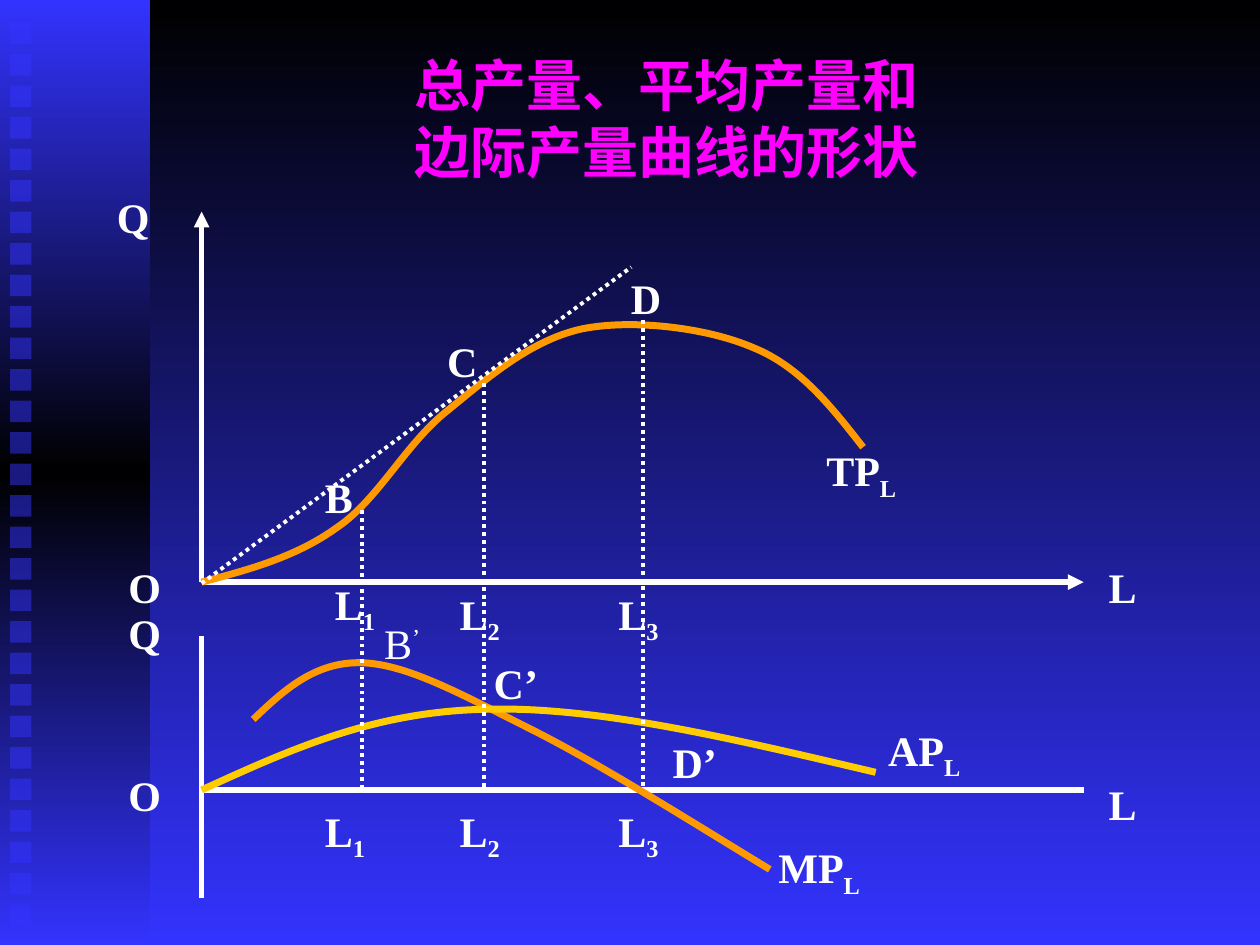
from copy import deepcopy
from dataclasses import dataclass

from lxml.etree import SubElement
from pptx import Presentation
from pptx.dml.color import RGBColor as RGB
from pptx.enum.dml import MSO_LINE_DASH_STYLE as Dash
from pptx.enum.shapes import MSO_CONNECTOR as Conn, MSO_SHAPE as Shape
from pptx.enum.text import MSO_ANCHOR as Anchor, MSO_AUTO_SIZE as AutoSize, PP_ALIGN as Align
from pptx.oxml.ns import qn
from pptx.util import Inches, Pt


@dataclass(frozen=True)
class Theme:
    font: str = "Times New Roman"
    text: RGB = RGB(0xFF, 0xFF, 0xFF)
    title: RGB = RGB(0xFF, 0x00, 0xFF)
    dark: RGB = RGB(0x00, 0x00, 0x00)
    blue: RGB = RGB(0x33, 0x33, 0xFF)
    orange: RGB = RGB(0xFF, 0x99, 0x00)
    yellow: RGB = RGB(0xFF, 0xCC, 0x00)
    title_size: int = 32
    label_size: int = 24
    axis_width: float = 3
    guide_width: float = 2.25
    curve_width: float = 4


class Builder:
    def __init__(self, slide, theme):
        self.s = slide
        self.theme = theme

    def gradient(self, fill, start, end):
        fill.gradient()
        fill.gradient_angle = 270
        for stop, color, pos in zip(fill.gradient_stops, (start, end), (0, 1)):
            stop.color.rgb = color
            stop.position = pos

    def rect(self, x, y, w, h):
        sp = self.s.shapes.add_shape(Shape.RECTANGLE, Inches(x), Inches(y), Inches(w), Inches(h))
        sp.shadow.inherit = False
        sp.line.fill.background()
        return sp

    def band(self, w, h):
        sp = self.rect(0, 0, w, h)
        self.gradient(sp.fill, self.theme.blue, self.theme.dark)
        stops = sp._element.spPr.find(".//" + qn("a:gsLst"))
        stops[1].set("pos", "50000")
        last = deepcopy(stops[0])
        last.set("pos", "100000")
        stops.append(last)

    def square(self, x, y, size):
        sp = self.rect(x, y, size, size)
        sp.fill.solid()
        sp.fill.fore_color.rgb = self.theme.blue
        color = sp._element.spPr.find(".//" + qn("a:srgbClr"))
        SubElement(color, qn("a:alpha")).set("val", "50000")

    def line(self, start, end, width, dotted=False, arrow=False):
        cx = self.s.shapes.add_connector(Conn.STRAIGHT, *map(Inches, (*start, *end)))
        cx.line.color.rgb = self.theme.text
        cx.line.width = Pt(width)
        if dotted:
            cx.line.dash_style = Dash.ROUND_DOT
        if arrow:
            SubElement(cx.line._get_or_add_ln(), qn("a:tailEnd")).set("type", "triangle")
        SubElement(cx._element.spPr, qn("a:effectLst"))

    def axis(self, start, end, arrow=False):
        self.line(start, end, self.theme.axis_width, arrow=arrow)

    def guide(self, start, end):
        self.line(start, end, self.theme.guide_width, dotted=True)

    def curve(self, color, knots):
        """Knots: a start, then two controls and an end for each segment."""
        fb = self.s.shapes.build_freeform(*map(Inches, knots[0]))
        fb.add_line_segments([(Inches(x), Inches(y)) for x, y in knots[1:]], close=False)
        sp = fb.convert_to_shape()
        # Turn each three straight steps into one cubic segment
        steps = sp._element.spPr.findall(".//" + qn("a:lnTo"))
        outline = steps[0].getparent()
        for i in range(0, len(steps), 3):
            cubic = SubElement(outline, qn("a:cubicBezTo"))
            for step in steps[i:i + 3]:
                cubic.append(step[0])
                outline.remove(step)
        sp.shadow.inherit = False
        sp.fill.background()
        sp.line.color.rgb = color
        sp.line.width = Pt(self.theme.curve_width)

    def label(self, x, y, w, text, shifted="", baseline=-25, bold=True):
        h = 0.56 if shifted and baseline < 0 else 0.5
        tf = self.s.shapes.add_textbox(Inches(x), Inches(y), Inches(w), Inches(h)).text_frame
        tf.word_wrap = True
        p = tf.paragraphs[0]
        p.text = text
        if shifted:
            r = p.add_run()
            r.text = shifted
            r.font._element.set("baseline", str(baseline * 1000))
        for r in p.runs:
            self.style(r, self.theme.label_size, self.theme.text, bold)

    def title(self, x, y, w, h, lines):
        sp = self.s.shapes.title
        sp.left, sp.top, sp.width, sp.height = map(Inches, (x, y, w, h))
        tf = sp.text_frame
        tf.word_wrap = True
        tf.auto_size = AutoSize.NONE
        tf.vertical_anchor = Anchor.MIDDLE
        p = tf.paragraphs[0]
        p.alignment = Align.CENTER
        for i, text in enumerate(lines):
            if i:
                p.add_line_break()
            r = p.add_run()
            r.text = text
            self.style(r, self.theme.title_size, self.theme.title)

    def style(self, r, size, color, bold=True):
        r.font.name = self.theme.font
        r.font.size = Pt(size)
        r.font.bold = bold
        r.font.color.rgb = color


def main():
    prs = Presentation()
    prs.slide_width, prs.slide_height = Inches(10), Inches(7.5)
    theme = Theme()
    b = Builder(prs.slides.add_slide(prs.slide_layouts[5]), theme)

    # Background, side band and its column of squares
    b.gradient(b.s.background.fill, theme.dark, theme.blue)
    b.band(1.19, 7.5)
    for i in range(29):
        b.square(0.08, 0.18 + 0.25 * i, 0.17)

    b.title(0.58, 0.33, 9.42, 1.21, ["总产量、平均产量和", "边际产量曲线的形状"])

    # Axes of the total product chart (top) and the AP/MP chart (bottom)
    left, right, top_base, low_base = 1.6, 8.6, 4.62, 6.27
    b.axis((left, top_base), (right, top_base), arrow=True)
    b.axis((left, top_base), (left, 1.68), arrow=True)
    b.axis((left, low_base), (right, low_base))
    b.axis((left, 5.05), (left, 7.13))

    # Total, marginal and average product curves
    b.curve(theme.orange, [
        (left, top_base), (1.98, 4.52), (2.35, 4.42), (2.67, 4.19),
        (3, 3.97), (3.22, 3.52), (3.55, 3.26), (3.87, 3), (4.21, 2.7), (4.62, 2.61),
        (5.02, 2.53), (5.61, 2.6), (5.98, 2.76), (6.35, 2.91), (6.6, 3.23), (6.85, 3.55)])
    b.curve(theme.orange, [
        (2.01, 5.71), (2.25, 5.48), (2.5, 5.25), (2.87, 5.26),
        (3.23, 5.27), (3.66, 5.51), (4.2, 5.78), (4.74, 6.05), (5.42, 6.48), (6.11, 6.9)])
    b.curve(theme.yellow, [
        (left, low_base), (2.28, 5.96), (2.95, 5.65), (3.84, 5.63),
        (4.73, 5.6), (5.84, 5.87), (6.95, 6.13)])

    # Tangent from the origin, and drop lines from B, C and D
    b.guide((left, 4.63), (5.01, 2.12))
    for x, y in ((2.87, 4.05), (3.84, 3.04), (5.1, 2.54)):
        b.guide((x, y), (x, low_base))

    # Axis names and origins
    for x, y, w, text in ((8.7, 6.13, 0.68, "L"), (8.7, 4.41, 0.87, "L"),
                          (0.83, 1.47, 0.78, "Q"), (0.92, 4.77, 0.58, "Q"),
                          (0.92, 4.41, 0.68, "O"), (0.92, 6.06, 0.68, "O")):
        b.label(x, y, w, text)

    # Curve names
    for x, y, w, text in ((6.46, 3.48, 1.07, "TP"), (6.95, 5.7, 1.56, "AP"),
                          (6.08, 6.63, 1.46, "MP")):
        b.label(x, y, w, text, "L")

    # Labour levels under both charts
    for x, y, w, number in ((2.48, 6.34, 0.87, "1"), (3.55, 6.34, 0.78, "2"),
                            (4.81, 6.34, 0.78, "3"), (2.56, 4.54, 0.87, "1"),
                            (3.55, 4.62, 0.78, "2"), (4.81, 4.62, 0.78, "3")):
        b.label(x, y, w, "L", number)

    # Points on the curves
    for x, y, w, text in ((2.48, 3.69, 0.68, "B"), (3.45, 2.61, 0.58, "C"),
                          (4.91, 2.11, 0.87, "D"), (5.24, 5.8, 0.87, "D’"),
                          (3.82, 5.17, 0.88, "C’")):
        b.label(x, y, w, text)
    b.label(2.95, 4.85, 0.63, "B", "’", baseline=30, bold=False)

    prs.save("out.pptx")


if __name__ == "__main__":
    main()
